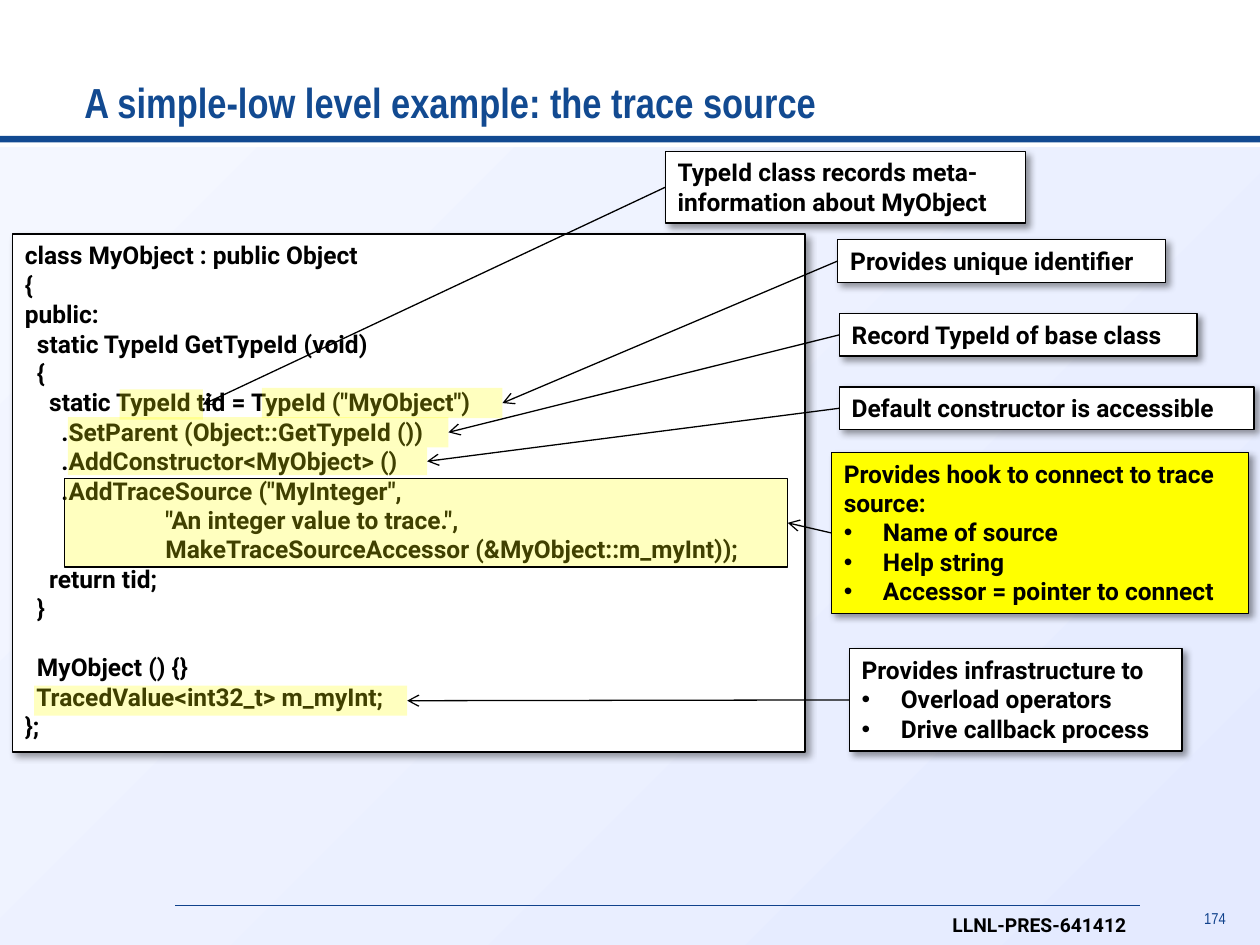
from lxml import etree
from pptx import Presentation
from pptx.dml.color import RGBColor
from pptx.enum.shapes import MSO_CONNECTOR, MSO_SHAPE
from pptx.enum.text import MSO_ANCHOR, MSO_AUTO_SIZE, PP_ALIGN
from pptx.oxml.ns import qn
from pptx.util import Cm, Pt

RECTANGLE = MSO_SHAPE.RECTANGLE
STRAIGHT = MSO_CONNECTOR.STRAIGHT
TOP, BOTTOM = MSO_ANCHOR.TOP, MSO_ANCHOR.BOTTOM
LEFT, RIGHT = PP_ALIGN.LEFT, PP_ALIGN.RIGHT
GROW, FIXED = MSO_AUTO_SIZE.SHAPE_TO_FIT_TEXT, MSO_AUTO_SIZE.NONE

COLORS = {
    "white": "FFFFFF",
    "black": "000000",
    "yellow": "FFFF00",
    "title": "124A91",
    "footer": "10428C",
    "pale": "F4F7FF",
    "lavender": "E4EAFF",
}

CODE = """class MyObject : public Object
{
public:
  static TypeId GetTypeId (void)
  {
    static TypeId tid = TypeId ("MyObject")
      .SetParent (Object::GetTypeId ())
      .AddConstructor<MyObject> ()
      .AddTraceSource ("MyInteger",
                       "An integer value to trace.",
                       MakeTraceSourceAccessor (&MyObject::m_myInt));
    return tid;
  }
  MyObject () {}
  TracedValue<int32_t> m_myInt;
};""".split("\n")
CONSTRUCTOR_LINE = CODE.index("  MyObject () {}")

NOTES = [
    {"target": (2.41, 7.85, 1.68, 0.61), "box": (13.41, 3.05, 7.26, 1.45), "wrap": True,
     "text": "TypeId class records meta-information about MyObject"},
    {"target": (5.28, 7.82, 4.85, 0.61), "box": (16.89, 4.83, 6.6, 0.86),
     "text": "Provides unique identifier"},
    {"target": (1.37, 8.41, 7.67, 0.61), "box": (16.92, 6.32, 7.21, 0.86),
     "text": "Record TypeId of base class"},
    {"target": (1.37, 9.02, 7.24, 0.56), "box": (16.92, 7.8, 8.36, 0.86),
     "text": "Default constructor is accessible"},
    {"target": (1.3, 9.65, 14.58, 1.78), "box": (16.76, 9.12, 8.41, 3.25), "wrap": True,
     "text": "Provides hook to connect to trace source:", "fill": "yellow", "outline": "black",
     "bullets": ["Name of source", "Help string", "Accessor = pointer to connect"]},
    {"target": (0.69, 13.82, 7.52, 0.61), "box": (17.12, 13.08, 6.71, 2.06),
     "text": "Provides infrastructure to",
     "bullets": ["Overload operators", "Drive callback process"]},
]


def rgb(name):
    """Return the named colour."""
    return RGBColor.from_string(COLORS[name])


def add_element(parent, tag, **attributes):
    """Append a drawing element with the given attributes."""
    values = {key: str(value) for key, value in attributes.items()}
    return etree.SubElement(parent, qn(tag), values)


def write_text(shape, lines, size=14, font="Roboto", color="black", bold=True, wrap=False,
               align=LEFT, anchor=TOP, autosize=GROW, left_inset=0.25, spacing=None, bullets=()):
    """Fill a shape with plain lines followed by bulleted lines."""
    frame = shape.text_frame
    frame.word_wrap = wrap
    frame.auto_size = autosize
    frame.vertical_anchor = anchor
    frame.margin_left = Cm(left_inset)
    for index, line in enumerate([*lines, *bullets]):
        paragraph = frame.add_paragraph() if index else frame.paragraphs[0]
        paragraph.alignment = align
        if spacing:
            paragraph.line_spacing = spacing
        if index >= len(lines):
            properties = paragraph._p.get_or_add_pPr()
            properties.set("marL", str(Cm(0.79)))
            properties.set("indent", str(-Cm(0.79)))
            add_element(properties, "a:buFont", typeface="Arial")
            add_element(properties, "a:buChar", char="•")
        run = paragraph.add_run()
        run.text = line
        run.font.size = Pt(size)
        run.font.name = font
        run.font.bold = bold
        run.font.color.rgb = rgb(color)


class SlideBuilder:
    """Draw styled elements on one slide."""

    def __init__(self, slide, line_width=0.75):
        self.slide = slide
        self.line_width = Pt(line_width)

    def rectangle(self, box, fill, outline=None, alpha=None):
        shape = self.slide.shapes.add_shape(RECTANGLE, *map(Cm, box))
        shape.shadow.inherit = False
        shape.fill.solid()
        shape.fill.fore_color.rgb = rgb(fill)
        if alpha:
            color = shape.fill._xPr.find(qn("a:solidFill"))[0]
            add_element(color, "a:alpha", val=alpha * 1000)
        if outline:
            shape.line.color.rgb = rgb(outline)
            shape.line.width = self.line_width
        else:
            shape.line.fill.background()
        return shape

    def backdrop(self, box):
        fill = self.rectangle(box, "pale").fill
        fill.gradient()
        fill.gradient_angle = 315
        for stop, name, position in zip(fill.gradient_stops, ("pale", "lavender"), (0, 1)):
            stop.color.rgb = rgb(name)
            stop.position = position

    def text(self, box, line, **style):
        write_text(self.slide.shapes.add_textbox(*map(Cm, box)), [line], **style)

    def panel(self, box, lines, fill="white", **style):
        shape = self.rectangle(box, fill, "black")
        effects = shape._element.spPr.find(qn("a:effectLst"))
        shadow = add_element(effects, "a:outerShdw", blurRad=Pt(4), dist=Pt(3),
                             dir=45 * 60000, algn="tl", rotWithShape=0)
        color = add_element(shadow, "a:srgbClr", val=COLORS["black"])
        add_element(color, "a:alpha", val=40000)
        write_text(shape, lines, **style)
        return shape

    def line(self, start, end, color="black", width=None, arrow=False):
        points = map(Cm, (*start, *end))
        connector = self.slide.shapes.add_connector(STRAIGHT, *points)
        connector.line.color.rgb = rgb(color)
        connector.line.width = width or self.line_width
        if arrow:
            add_element(connector.line._get_or_add_ln(), "a:tailEnd", type="arrow")
        add_element(connector._element.spPr, "a:effectLst")

    def note(self, target, box, text, outline=None, **style):
        self.rectangle(target, "yellow", outline, alpha=25)
        self.panel(box, [text], **style)
        start = (box[0], box[1] + box[3] / 2)
        end = (target[0] + target[2], target[1] + target[3] / 2)
        self.line(start, end, arrow=True)


def main():
    """Build and save the slide."""
    presentation = Presentation()
    presentation.slide_width, presentation.slide_height = Cm(25.4), Cm(19.05)
    builder = SlideBuilder(presentation.slides.add_slide(presentation.slide_layouts[6]))

    builder.backdrop((0, 2.97, 25.4, 16.08))
    builder.rectangle((0, 2.74, 25.4, 0.13), "title")
    builder.line((3.53, 18.26), (22.99, 18.26), "footer", Pt(0.5))
    builder.text((24.1, 18.29, 0.86, 0.56), "174", size=9, font="Arial Narrow", color="footer",
                 bold=False, wrap=True, align=RIGHT, left_inset=0, spacing=0.75)
    builder.text((18.95, 18.29, 4.14, 0.74), "LLNL-PRES-641412", size=11)
    builder.text((1.7, 0.43, 22.07, 2.26), "A simple-low level example: the trace source",
                 size=24, font="Arial Narrow", color="title", wrap=True, anchor=BOTTOM,
                 autosize=FIXED, left_inset=0)

    code_panel = builder.panel((0.25, 4.72, 15.98, 10.44), CODE)
    code_panel.text_frame.paragraphs[CONSTRUCTOR_LINE].space_before = Pt(16.8)
    for note in NOTES:
        builder.note(**note)

    presentation.save("out.pptx")


if __name__ == "__main__":
    main()
